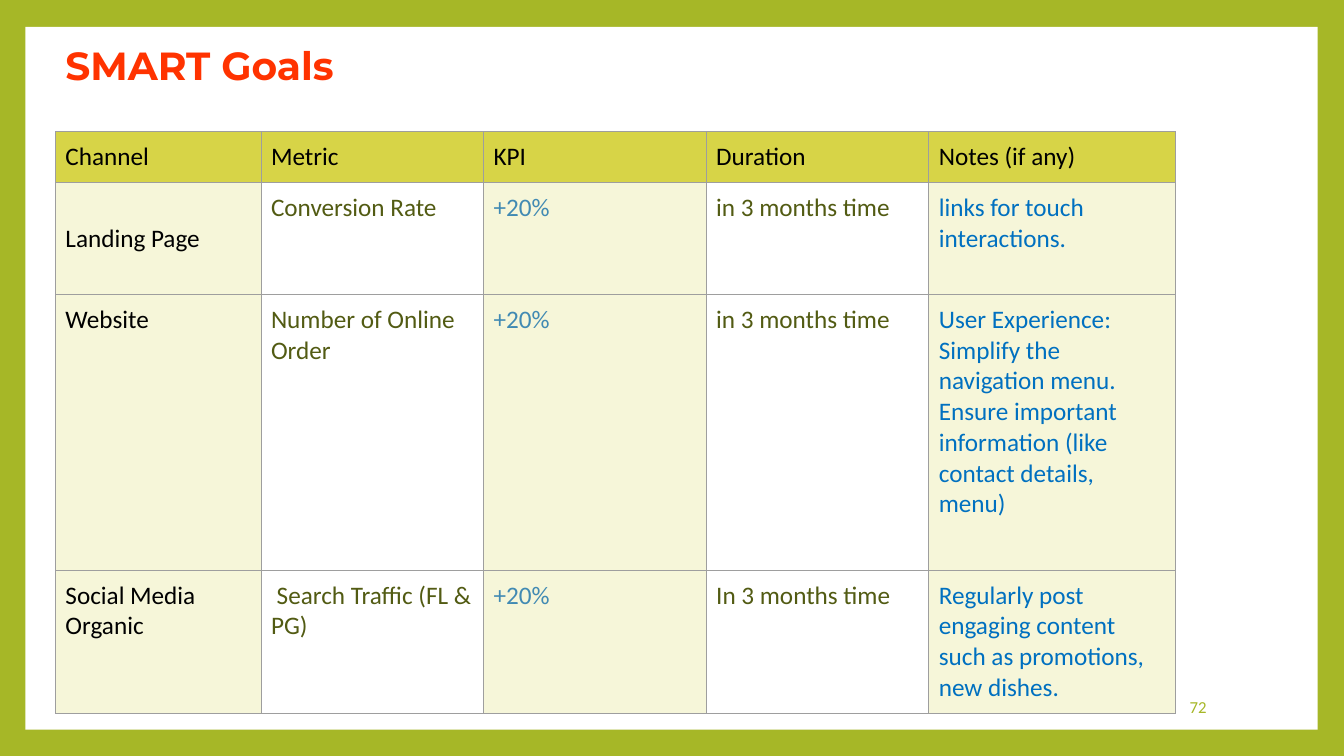
from lxml.etree import SubElement
from pptx import Presentation
from pptx.dml.color import RGBColor
from pptx.enum.shapes import MSO_SHAPE
from pptx.enum.text import MSO_ANCHOR, PP_ALIGN
from pptx.oxml.ns import qn
from pptx.util import Cm, Pt

COLOURS = {
    "frame": "A6B727",
    "panel": "FFFFFF",
    "title": "FF3300",
    "header": "D7D447",
    "band": "F6F6D9",
    "border": "9E9E9E",
    "label": "000000",
    "goal": "525B13",
    "kpi": "418AB3",
    "note": "0070C0",
}
COLUMN_WIDTHS = [5.18, 5.61, 5.61, 5.61, 6.2]
ROW_HEIGHTS = [1.28, 2.82, 6.95, 3.6]
COLUMN_INKS = ["label", "goal", "kpi", "goal", "note"]
CELL_MARGIN = 0.25
LANDING_PAGE_DROP = 1.03
GOALS = [
    ["Channel", "Metric", "KPI", "Duration", "Notes (if any)"],
    ["Landing Page", "Conversion Rate", "+20%", "in 3 months time",
     "links for touch interactions."],
    ["Website", "Number of Online Order", "+20%", "in 3 months time",
     "User Experience: Simplify the navigation menu. Ensure important "
     "information (like contact details, menu)"],
    ["Social Media Organic", " Search Traffic (FL & PG)", "+20%",
     "In 3 months time",
     "Regularly post engaging content such as promotions, new dishes."],
]


def rgb(name):
    return RGBColor.from_string(COLOURS[name])


def add_run(paragraph, text, size, ink, font="Calibri", bold=False):
    run = paragraph.add_run()
    run.text = text
    run.font.size = Pt(size)
    run.font.name = font
    run.font.bold = bold
    run.font.color.rgb = rgb(ink)


def add_panel(slide, left, top, width, height):
    panel = slide.shapes.add_shape(
        MSO_SHAPE.RECTANGLE, Cm(left), Cm(top), Cm(width), Cm(height))
    panel.shadow.inherit = False
    panel.fill.solid()
    panel.fill.fore_color.rgb = rgb("panel")
    panel.line.fill.background()


def add_label(slide, left, top, width, height, text, align=PP_ALIGN.LEFT,
              anchor=MSO_ANCHOR.TOP, **style):
    label = slide.shapes.add_textbox(
        Cm(left), Cm(top), Cm(width), Cm(height)).text_frame
    label.word_wrap = True
    label.vertical_anchor = anchor
    label.paragraphs[0].alignment = align
    add_run(label.paragraphs[0], text, **style)


def add_borders(cell):
    properties = cell._tc.get_or_add_tcPr()
    for side in ("a:lnL", "a:lnR", "a:lnT", "a:lnB"):
        line = SubElement(properties, qn(side), w=str(Pt(0.75)))
        fill = SubElement(line, qn("a:solidFill"))
        SubElement(fill, qn("a:srgbClr"), val=COLOURS["border"])


def fill_cell(cell, text, ink, background):
    """Write one cell; a background of None leaves it clear."""
    add_borders(cell)
    if background:
        cell.fill.solid()
        cell.fill.fore_color.rgb = rgb(background)
    else:
        cell.fill.background()
    cell.margin_left = cell.margin_right = Cm(CELL_MARGIN)
    cell.margin_top = cell.margin_bottom = Cm(CELL_MARGIN)
    add_run(cell.text_frame.paragraphs[0], text, 18, ink)


def add_goals_table(slide, left, top):
    goals = slide.shapes.add_table(
        len(ROW_HEIGHTS), len(COLUMN_WIDTHS), Cm(left), Cm(top),
        Cm(sum(COLUMN_WIDTHS)), Cm(sum(ROW_HEIGHTS))).table
    for column, width in zip(goals.columns, COLUMN_WIDTHS):
        column.width = Cm(width)
    for row, height in zip(goals.rows, ROW_HEIGHTS):
        row.height = Cm(height)
    for r, entries in enumerate(GOALS):
        for c, text in enumerate(entries):
            if r == 0:
                ink, background = "label", "header"
            else:
                ink = COLUMN_INKS[c]
                background = "band" if c % 2 == 0 else None
            fill_cell(goals.cell(r, c), text, ink, background)
    goals.cell(1, 0).margin_top = Cm(LANDING_PAGE_DROP)


def main():
    deck = Presentation()
    deck.slide_width, deck.slide_height = Cm(33.87), Cm(19.05)
    slide = deck.slides.add_slide(deck.slide_layouts[6])
    slide.background.fill.solid()
    slide.background.fill.fore_color.rgb = rgb("frame")
    add_panel(slide, 0.64, 0.68, 32.57, 17.71)
    add_label(slide, 25.91, 17.3, 4.75, 1.02, "72", PP_ALIGN.RIGHT,
              MSO_ANCHOR.MIDDLE, size=12, ink="frame")
    add_goals_table(slide, 1.4, 3.32)
    add_label(slide, 1.4, 0.91, 13.69, 1.45, "SMART Goals",
              size=28, ink="title", font="Montserrat", bold=True)
    deck.save("out.pptx")


if __name__ == "__main__":
    main()
